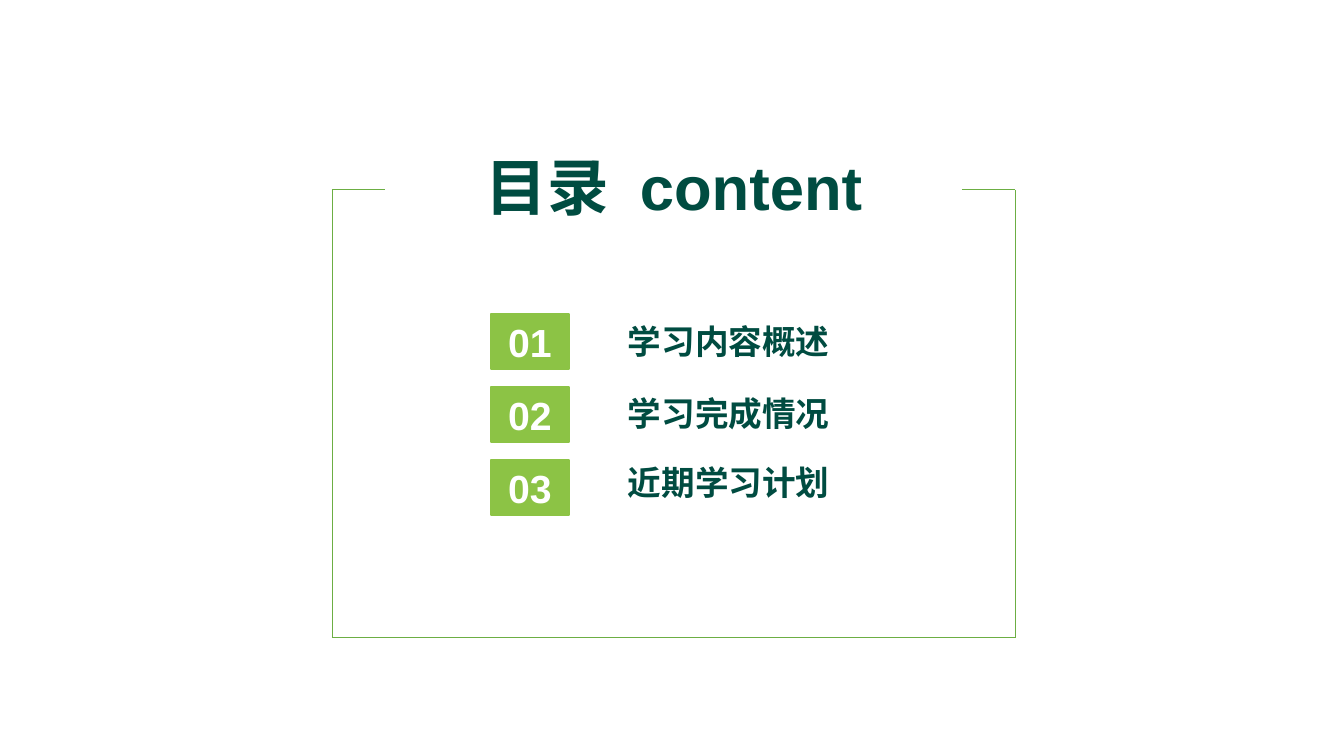
from dataclasses import dataclass

from pptx import Presentation
from pptx.dml.color import RGBColor
from pptx.enum.shapes import MSO_CONNECTOR, MSO_SHAPE
from pptx.enum.text import MSO_ANCHOR, MSO_AUTO_SIZE, PP_ALIGN
from pptx.oxml.ns import qn
from pptx.util import Emu, Pt

STRAIGHT = MSO_CONNECTOR.STRAIGHT
RECTANGLE = MSO_SHAPE.RECTANGLE
MIDDLE = MSO_ANCHOR.MIDDLE
GROW = MSO_AUTO_SIZE.SHAPE_TO_FIT_TEXT
CENTER = PP_ALIGN.CENTER
JUSTIFY = PP_ALIGN.JUSTIFY

FRAME_GREEN = RGBColor(0x6C, 0xAE, 0x43)
BADGE_GREEN = RGBColor(0x8C, 0xC3, 0x45)
DARK_GREEN = RGBColor(0x00, 0x4C, 0x41)
WHITE = RGBColor(0xFF, 0xFF, 0xFF)
FONT = "Arial"

EMU_PER_PIXEL = 914400 / 134.4
FRAME_LEFT, FRAME_TOP, FRAME_RIGHT, FRAME_BOTTOM = 332, 190, 1015, 638
FRAME_STUB = 53
BADGE_LEFT, BADGE_TOP, BADGE_WIDTH, BADGE_HEIGHT = 491, 314, 78, 55
BADGE_STEP = 73
LABEL_LEFT, LABEL_HEIGHT = 628, 51


@dataclass(frozen=True)
class Entry:
    """One line of the contents list."""
    label: str
    label_top: int
    label_width: int


ENTRIES = (
    Entry("学习内容概述", 316, 262),
    Entry("学习完成情况", 388, 233),
    Entry("近期学习计划", 457, 227),
)


def px(length: int) -> Emu:
    """Turn pixels into EMU."""
    return Emu(round(length * EMU_PER_PIXEL))


def add_span(para, text: str, *, size: int, color: RGBColor, spacing: int = 0) -> None:
    """Add bold text, with letter spacing in hundredths of a point."""
    span = para.add_run()
    span.text = text
    span.font.name = FONT
    span.font.size = Pt(size)
    span.font.bold = True
    span.font.color.rgb = color
    if spacing:
        span.font._element.set("spc", str(spacing))


def write(box, text: str, *, size: int, color: RGBColor, align: PP_ALIGN) -> None:
    """Write one vertically centred line without margins."""
    frame = box.text_frame
    frame.word_wrap = True
    frame.vertical_anchor = MIDDLE
    frame.margin_left = frame.margin_right = 0
    frame.margin_top = frame.margin_bottom = 0
    para = frame.paragraphs[0]
    para.alignment = align
    add_span(para, text, size=size, color=color)


def add_line(page, left: int, top: int, right: int, bottom: int) -> None:
    """Draw one thin line of the frame."""
    line = page.shapes.add_connector(STRAIGHT, px(left), px(top), px(right), px(bottom))
    line.line.color.rgb = FRAME_GREEN
    line.line.width = Pt(0.5)
    properties = line._element.spPr
    properties.append(properties.makeelement(qn("a:effectLst"), {}))


def add_frame(page) -> None:
    """Draw the frame, open at the top for the title."""
    add_line(page, FRAME_LEFT, FRAME_BOTTOM, FRAME_RIGHT, FRAME_BOTTOM)
    for side, inward in ((FRAME_LEFT, FRAME_STUB), (FRAME_RIGHT, -FRAME_STUB)):
        add_line(page, side, FRAME_TOP, side, FRAME_BOTTOM)
        start, end = sorted((side, side + inward))
        add_line(page, start, FRAME_TOP, end, FRAME_TOP)


def add_title(page) -> None:
    """Add the title, its two words set apart by a widened space."""
    box = page.shapes.add_textbox(px(461), px(142), px(426), px(89))
    box.text_frame.word_wrap = True
    box.text_frame.auto_size = GROW
    para = box.text_frame.paragraphs[0]
    para.alignment = CENTER
    for text, spacing in (("目录", 0), (" ", 920), ("content", 0)):
        add_span(para, text, size=33, color=DARK_GREEN, spacing=spacing)


def add_entry(page, index: int, entry: Entry) -> None:
    """Add a numbered badge and its label."""
    badge = page.shapes.add_shape(
        RECTANGLE, px(BADGE_LEFT), px(BADGE_TOP + index * BADGE_STEP),
        px(BADGE_WIDTH), px(BADGE_HEIGHT))
    badge.shadow.inherit = False
    badge.fill.solid()
    badge.fill.fore_color.rgb = BADGE_GREEN
    badge.line.color.rgb = BADGE_GREEN
    badge.line.width = Pt(1)
    write(badge, f"{index + 1:02d}", size=21, color=WHITE, align=CENTER)
    label = page.shapes.add_textbox(
        px(LABEL_LEFT), px(entry.label_top), px(entry.label_width), px(LABEL_HEIGHT))
    write(label, entry.label, size=18, color=DARK_GREEN, align=JUSTIFY)


def main() -> None:
    """Build and save the contents slide."""
    deck = Presentation()
    deck.slide_width, deck.slide_height = px(1344), px(756)
    page = deck.slides.add_slide(deck.slide_layouts[6])
    add_frame(page)
    add_title(page)
    for index, entry in enumerate(ENTRIES):
        add_entry(page, index, entry)
    deck.save("out.pptx")


main()
